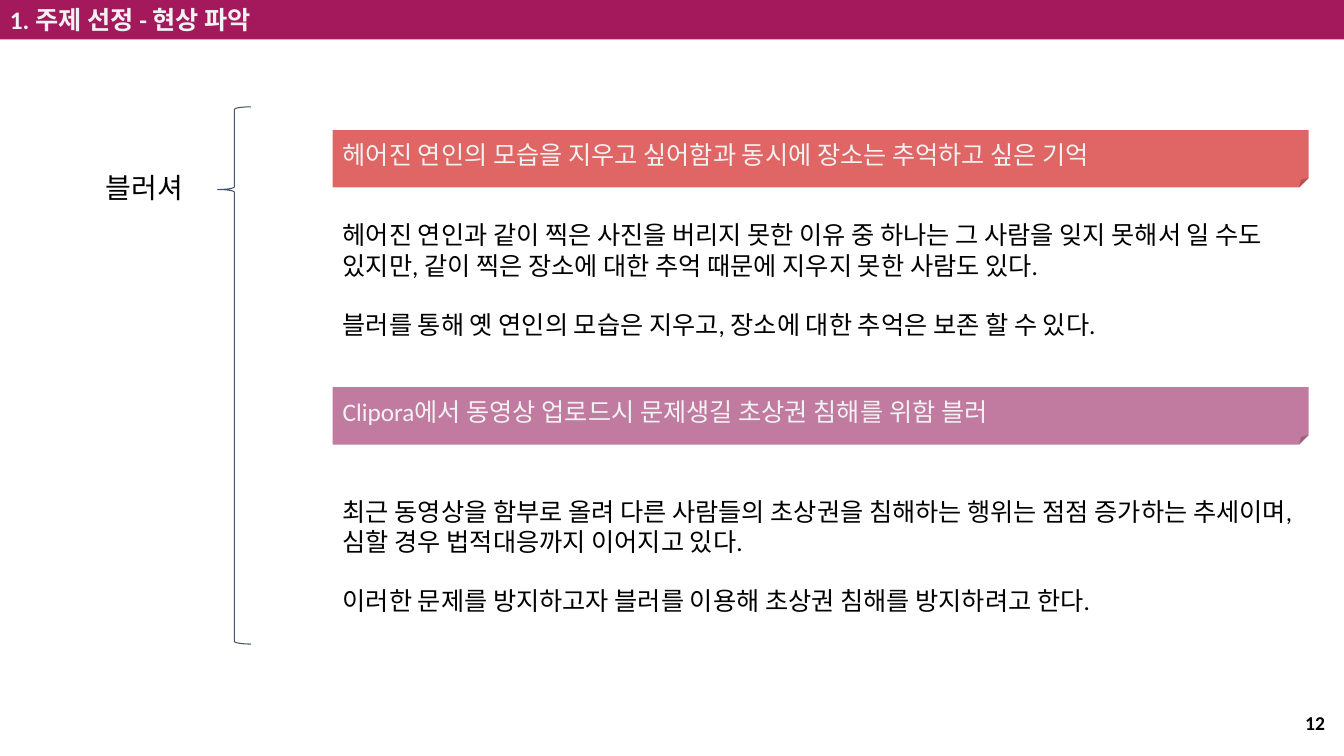
import pptx
import pptx.dml.color
import pptx.enum.shapes
import pptx.enum.text
import pptx.util

Inches = pptx.util.Inches
Pt = pptx.util.Pt
SHAPE = pptx.enum.shapes.MSO_SHAPE
ALIGN = pptx.enum.text.PP_ALIGN
ANCHOR = pptx.enum.text.MSO_ANCHOR

BLACK = "000000"
OFF_WHITE = "F2F2F2"
TOPIC_LEFT, TOPIC_WIDTH = 3.3, 9.68

# Banner top, banner colour, heading, body top, body paragraphs
TOPICS = [
    (1.29, "E06666",
     "헤어진 연인의 모습을 지우고 싶어함과 동시에 장소는 추억하고 싶은 기억",
     2.13,
     ["헤어진 연인과 같이 찍은 사진을 버리지 못한 이유 중 하나는 그 사람을 잊지 못해서 일 수도 "
      "있지만, 같이 찍은 장소에 대한 추억 때문에 지우지 못한 사람도 있다.",
      "블러를 통해 옛 연인의 모습은 지우고, 장소에 대한 추억은 보존 할 수 있다."]),
    (3.84, "C27BA0",
     "Clipora에서 동영상 업로드시 문제생길 초상권 침해를 위함 블러",
     4.87,
     ["최근 동영상을 함부로 올려 다른 사람들의 초상권을 침해하는 행위는 점점 증가하는 "
      "추세이며, 심할 경우 법적대응까지 이어지고 있다.",
      "이러한 문제를 방지하고자 블러를 이용해 초상권 침해를 방지하려고 한다."]),
]


def rgb(color):
    return pptx.dml.color.RGBColor.from_string(color)


def write(sp, paragraphs, color, size=18, bold=False, align=ALIGN.LEFT,
          anchor=ANCHOR.TOP):
    """Fill a shape with paragraphs set about one line apart."""
    tf = sp.text_frame
    tf.word_wrap = True
    tf.vertical_anchor = anchor
    for i, text in enumerate(paragraphs):
        p = tf.paragraphs[0] if i == 0 else tf.add_paragraph()
        p.text = text
        p.alignment = align
        if i:
            p.space_before = Pt(21)
        for r in p.runs:
            r.font.name = "Calibri"
            r.font.size = Pt(size)
            r.font.bold = bold
            r.font.color.rgb = rgb(color)


def add_text(slide, box, paragraphs, **style):
    sp = slide.shapes.add_textbox(*map(Inches, box))
    write(sp, paragraphs, BLACK, **style)


def add_banner(slide, kind, box, fill, text, bold=False):
    sp = slide.shapes.add_shape(kind, *map(Inches, box))
    sp.shadow.inherit = False
    sp.fill.solid()
    sp.fill.fore_color.rgb = rgb(fill)
    sp.line.fill.background()
    write(sp, [text], OFF_WHITE, bold=bold, anchor=ANCHOR.MIDDLE)


def add_brace(slide, box):
    sp = slide.shapes.add_shape(SHAPE.LEFT_BRACE, *map(Inches, box))
    sp.shadow.inherit = False
    sp.adjustments[0] = 0.08
    sp.adjustments[1] = 0.154
    sp.fill.background()
    sp.line.color.rgb = rgb("44546A")
    sp.line.width = Pt(0.75)


def main():
    prs = pptx.Presentation()
    prs.slide_width = Inches(13.33)
    prs.slide_height = Inches(7.5)
    slide = prs.slides.add_slide(prs.slide_layouts[6])

    add_text(slide, (10.24, 6.97, 3, 0.4), ["12"], size=14, bold=True,
             align=ALIGN.RIGHT, anchor=ANCHOR.MIDDLE)
    add_banner(slide, SHAPE.RECTANGLE, (0, 0, 13.33, 0.39), "A3195C",
               "1. 주제 선정 - 현상 파악", bold=True)
    add_text(slide, (0.95, 1.64, 1.04, 0.44), ["블러셔"], size=20)
    add_brace(slide, (2.16, 1.06, 0.33, 5.33))
    for banner_top, color, heading, body_top, body in TOPICS:
        add_banner(slide, SHAPE.FOLDED_CORNER,
                   (TOPIC_LEFT, banner_top, TOPIC_WIDTH, 0.57), color, heading)
        add_text(slide, (TOPIC_LEFT, body_top, TOPIC_WIDTH, 1.31), body)

    prs.save("out.pptx")


if __name__ == "__main__":
    main()
